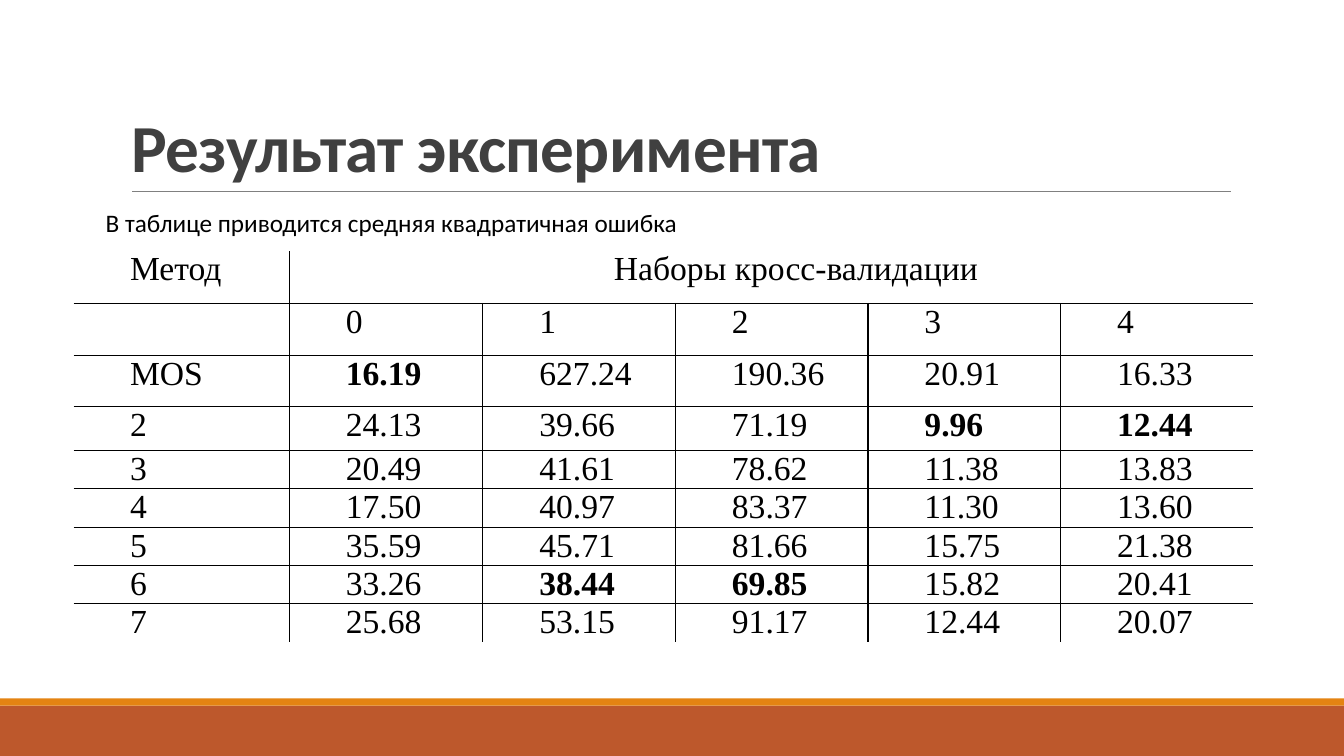
from lxml import etree
from pptx import Presentation
from pptx.dml.color import RGBColor
from pptx.enum.shapes import MSO_CONNECTOR, MSO_SHAPE
from pptx.enum.text import MSO_ANCHOR, MSO_AUTO_SIZE, PP_ALIGN
from pptx.oxml.ns import qn
from pptx.util import Inches, Pt

RECTANGLE = MSO_SHAPE.RECTANGLE
STRAIGHT = MSO_CONNECTOR.STRAIGHT
BOTTOM = MSO_ANCHOR.BOTTOM
NO_AUTOFIT = MSO_AUTO_SIZE.NONE
LEFT, CENTER, JUSTIFY = PP_ALIGN.LEFT, PP_ALIGN.CENTER, PP_ALIGN.JUSTIFY

# Content
TITLE = "Результат эксперимента"
CAPTION = "В таблице приводится средняя квадратичная ошибка"
TABLE_ROWS = [
    ["Метод", "Наборы кросс-валидации", "", "", "", ""],
    ["", "0", "1", "2", "3", "4"],
    ["MOS", "16.19", "627.24", "190.36", "20.91", "16.33"],
    ["2", "24.13", "39.66", "71.19", "9.96", "12.44"],
    ["3", "20.49", "41.61", "78.62", "11.38", "13.83"],
    ["4", "17.50", "40.97", "83.37", "11.30", "13.60"],
    ["5", "35.59", "45.71", "81.66", "15.75", "21.38"],
    ["6", "33.26", "38.44", "69.85", "15.82", "20.41"],
    ["7", "25.68", "53.15", "91.17", "12.44", "20.07"],
]
BEST_CELLS = {(2, 1), (3, 4), (3, 5), (7, 2), (7, 3)}

# Look
COLORS = {"band": "BD582C", "stripe": "E48312", "rule": "808080",
          "title": "404040", "text": "000000"}
TITLE_FONT = {"name": "Calibri", "size": Pt(48), "bold": True}
CAPTION_FONT = {"name": "Calibri", "size": Pt(18)}
CELL_FONT = {"name": "Times New Roman", "size": Pt(24)}
CELL_MARGINS = {"margin_left": Inches(0.07), "margin_right": Inches(0.07),
                "margin_top": 0, "margin_bottom": 0}
FOOTER_BANDS = [("band", 7, 0.5), ("stripe", 6.93, 0.07)]
COLUMN_WIDTHS = [2.14] + [1.92] + [1.91] * 4
ROW_HEIGHTS = [0.52, 0.52, 0.5, 0.44] + [0.38] * 5
FIRST_LINE_INDENT = Inches(0.49)


def set_attributes(target, values):
    for name, value in values.items():
        setattr(target, name, value)


def write(paragraph, text, font, color, alignment):
    paragraph.alignment = alignment
    run = paragraph.add_run()
    run.text = text
    set_attributes(run.font, font)
    run.font.color.rgb = RGBColor.from_string(COLORS[color])
    return run


def set_borders(cell, visible_edges):
    properties = cell._tc.get_or_add_tcPr()
    for edge in "LRTB":
        line = etree.SubElement(properties, qn(f"a:ln{edge}"), w=str(Pt(1)))
        if edge in visible_edges:
            fill = etree.SubElement(line, qn("a:solidFill"))
            etree.SubElement(fill, qn("a:srgbClr"), val=COLORS["text"])
        else:
            etree.SubElement(line, qn("a:noFill"))


def inner_edges(row, column):
    last_row, last_column = len(TABLE_ROWS) - 1, len(COLUMN_WIDTHS) - 1
    inside = {
        "L": column > 0 and not (row == 0 and column > 1),
        "R": column < last_column and not (row == 0 and column > 0),
        "T": row > 0,
        "B": row < last_row,
    }
    return [edge for edge, shown in inside.items() if shown]


presentation = Presentation()
presentation.slide_width = Inches(13.33)
presentation.slide_height = Inches(7.5)
slide = presentation.slides.add_slide(presentation.slide_layouts[5])

# Footer bands
for color, top, height in FOOTER_BANDS:
    band = slide.shapes.add_shape(RECTANGLE, 0, Inches(top),
                                  presentation.slide_width, Inches(height))
    band.shadow.inherit = False
    band.fill.solid()
    band.fill.fore_color.rgb = RGBColor.from_string(COLORS[color])
    band.line.fill.background()

# Rule under the title
rule = slide.shapes.add_connector(STRAIGHT, Inches(1.31), Inches(1.9),
                                  Inches(12.21), Inches(1.9))
rule.line.color.rgb = RGBColor.from_string(COLORS["rule"])
rule.line.width = Pt(0.5)
etree.SubElement(rule._element.spPr, qn("a:effectLst"))

# Title
title = slide.shapes.title
set_attributes(title, {"left": Inches(1.2), "top": Inches(0.31),
                       "width": Inches(11), "height": Inches(1.59)})
set_attributes(title.text_frame, {"vertical_anchor": BOTTOM, "word_wrap": True,
                                  "auto_size": NO_AUTOFIT})
title_paragraph = title.text_frame.paragraphs[0]
title_paragraph.line_spacing = 0.85
title_run = write(title_paragraph, TITLE, TITLE_FONT, "title", LEFT)
title_run._r.get_or_add_rPr().set("spc", "-50")

# Results table
table = slide.shapes.add_table(
    len(TABLE_ROWS), len(COLUMN_WIDTHS), Inches(0.73), Inches(2.49),
    Inches(sum(COLUMN_WIDTHS)), Inches(sum(ROW_HEIGHTS))).table
set_attributes(table, {"first_row": False, "horz_banding": False})
for column, width in zip(table.columns, COLUMN_WIDTHS):
    column.width = Inches(width)
for row, height in zip(table.rows, ROW_HEIGHTS):
    row.height = Inches(height)
table.cell(0, 1).merge(table.cell(0, len(COLUMN_WIDTHS) - 1))

for row_index, values in enumerate(TABLE_ROWS):
    for column_index, value in enumerate(values):
        cell = table.cell(row_index, column_index)
        set_attributes(cell, CELL_MARGINS)
        set_borders(cell, inner_edges(row_index, column_index))
        cell.fill.background()
        if value:
            paragraph = cell.text_frame.paragraphs[0]
            paragraph._p.get_or_add_pPr().set("indent", str(FIRST_LINE_INDENT))
            is_best = (row_index, column_index) in BEST_CELLS
            is_group_header = (row_index, column_index) == (0, 1)
            write(paragraph, value, {**CELL_FONT, "bold": is_best}, "text",
                  CENTER if is_group_header else JUSTIFY)

# Caption above the table
caption = slide.shapes.add_textbox(Inches(0.95), Inches(1.99),
                                   Inches(5.93), Inches(0.41))
caption.text_frame.word_wrap = False
caption_paragraph = caption.text_frame.paragraphs[0]
set_attributes(caption_paragraph, {"line_spacing": 1.07, "space_after": Pt(8)})
write(caption_paragraph, CAPTION, CAPTION_FONT, "text", LEFT)

presentation.save("out.pptx")
